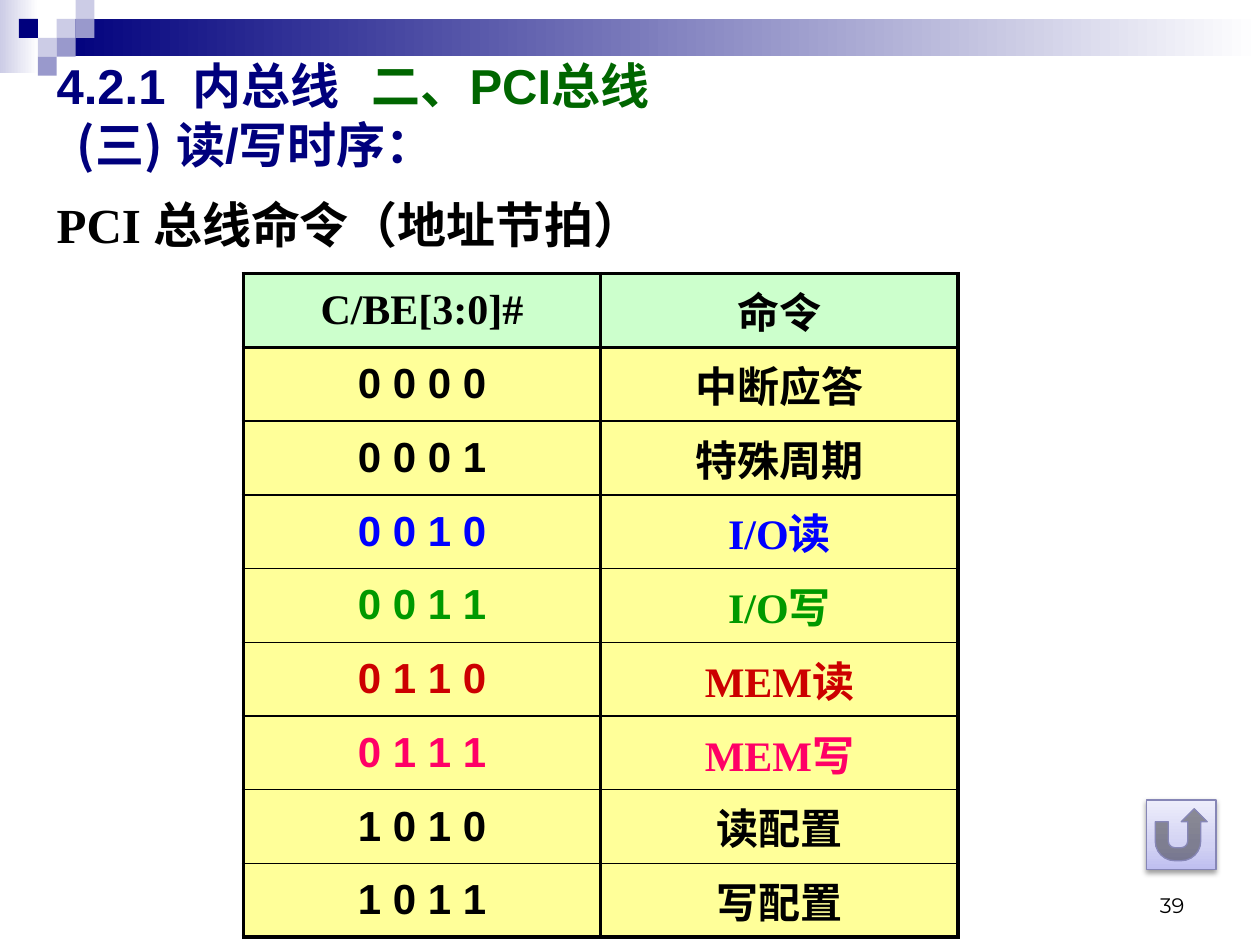
from copy import deepcopy
from dataclasses import dataclass

from lxml import etree
from pptx import Presentation
from pptx.dml.color import RGBColor
from pptx.enum import shapes, text
from pptx.oxml import ns
from pptx.util import Pt


@dataclass(frozen=True)
class Theme:
    navy: str = "00007D"
    lilac: str = "CCCCE6"
    violet: str = "9999CC"
    white: str = "FFFFFF"
    black: str = "000000"
    green: str = "006600"
    header_fill: str = "CCFFCC"
    body_fill: str = "FFFF99"
    button_line: str = "8686B6"
    button_stops: tuple = ((0, "BFBFF0"), (35, "D2D2F3"), (100, "EDEDFB"))
    sans: str = "Arial"
    serif: str = "Times New Roman"
    chinese: str = "Noto Sans CJK SC"
    number: str = "Montserrat"
    heading_size: int = 28
    table_size: int = 24
    number_size: int = 12


THEME = Theme()
COMMANDS = [
    ("0 0 0 0", "中断应答", THEME.black),
    ("0 0 0 1", "特殊周期", THEME.black),
    ("0 0 1 0", "I/O读", "0000FF"),
    ("0 0 1 1", "I/O写", "009900"),
    ("0 1 1 0", "MEM读", "CC0000"),
    ("0 1 1 1", "MEM写", "FF0066"),
    ("1 0 1 0", "读配置", THEME.black),
    ("1 0 1 1", "写配置", THEME.black),
]


def rgb(color):
    return RGBColor.from_string(color)


def add_child(parent, tag, **attributes):
    child = etree.SubElement(parent, ns.qn(tag))
    for key, value in attributes.items():
        child.set(key, str(value))
    return child


def add_run(paragraph, words, font, size, color, bold=True):
    run = paragraph.add_run()
    run.text = words
    run.font.size = Pt(size)
    run.font.bold = bold
    run.font.color.rgb = rgb(color)
    run.font.name = font
    add_child(run.font._element, "a:ea", typeface=THEME.chinese)


def fill_gradient(shape, stops, angle=0):
    """Fill with (percent, colour) stops; the angle runs counter-clockwise."""
    shape.fill.gradient()
    shape.fill.gradient_angle = angle
    stop_list = shape._element.spPr.find(ns.qn("a:gradFill")).find(ns.qn("a:gsLst"))
    for _ in stops[2:]:
        stop_list.insert(1, deepcopy(stop_list[0]))
    for stop, (position, color) in zip(shape.fill.gradient_stops, stops):
        stop.color.rgb = rgb(color)
        stop.position = position / 100


def add_block(slide, left, top, width, height, kind=shapes.MSO_SHAPE.RECTANGLE):
    block = slide.shapes.add_shape(kind, Pt(left), Pt(top), Pt(width), Pt(height))
    block.shadow.inherit = False
    block.line.fill.background()
    return block


def set_text(box, place, runs, anchor=text.MSO_ANCHOR.MIDDLE,
             align=text.PP_ALIGN.LEFT):
    """Place a box and write its one paragraph from (words, font, size, colour)."""
    box.left, box.top, box.width, box.height = map(Pt, place)
    frame = box.text_frame
    frame.word_wrap = True
    frame.auto_size = text.MSO_AUTO_SIZE.NONE
    frame.vertical_anchor = anchor
    paragraph = frame.paragraphs[0]
    paragraph.alignment = align
    paragraph.space_before = Pt(0)
    for run in runs:
        add_run(paragraph, *run)
    return paragraph


def add_text_box(slide, place, runs, **layout):
    box = slide.shapes.add_textbox(*map(Pt, place))
    return set_text(box, place, runs, **layout)


def add_banner(slide):
    edge = add_block(slide, 0, 0, 22, 42)
    fill_gradient(edge, [(0, THEME.lilac), (100, THEME.white)])
    bar = add_block(slide, 32.4, 10.8, 687.6, 21.4)
    fill_gradient(bar, [(0, THEME.navy), (100, THEME.white)])
    side = 10.8
    mosaic = [
        (3, 1, THEME.lilac), (4, 0, THEME.lilac), (4, 1, THEME.violet),
        (2, 2, THEME.lilac), (1, 1, THEME.navy), (3, 2, THEME.violet),
        (2, 3, THEME.violet),
    ]
    for column, row, color in mosaic:
        square = add_block(slide, column * side, row * side, side, side)
        square.fill.solid()
        square.fill.fore_color.rgb = rgb(color)


def fill_cell(cell, words, font, color, fill, top, bottom):
    cell.fill.solid()
    cell.fill.fore_color.rgb = rgb(fill)
    cell.vertical_anchor = text.MSO_ANCHOR.MIDDLE
    paragraph = cell.text_frame.paragraphs[0]
    paragraph.alignment = text.PP_ALIGN.CENTER
    add_run(paragraph, words, font, THEME.table_size, color)
    # Borders come before the fill in the cell properties
    properties = cell._tc.get_or_add_tcPr()
    borders = (("a:lnL", 2.25), ("a:lnR", 2.25), ("a:lnT", top), ("a:lnB", bottom))
    for index, (tag, width) in enumerate(borders):
        border = add_child(properties, tag, w=int(Pt(width)))
        add_child(add_child(border, "a:solidFill"), "a:srgbClr", val=THEME.black)
        properties.insert(index, border)


def add_command_table(slide):
    last = len(COMMANDS)
    column_width, row_height = 204.25, 42.15
    table = slide.shapes.add_table(
        last + 1, 2, Pt(139), Pt(156.4),
        Pt(2 * column_width), Pt((last + 1) * row_height)).table
    table.first_row = table.horz_banding = False
    for column in table.columns:
        column.width = Pt(column_width)
    for row in table.rows:
        row.height = Pt(row_height)

    for column, heading in enumerate(("C/BE[3:0]#", "命令")):
        fill_cell(table.cell(0, column), heading, THEME.serif, THEME.black,
                  THEME.header_fill, 2.25, 2.25)
    for row, (code, command, color) in enumerate(COMMANDS, 1):
        top = 2.25 if row == 1 else 1
        bottom = 2.25 if row == last else 1
        for column, (words, font) in enumerate(
                ((code, THEME.sans), (command, THEME.serif))):
            fill_cell(table.cell(row, column), words, font, color,
                      THEME.body_fill, top, bottom)


def add_return_button(slide):
    button = add_block(slide, 655.2, 457.2, 39.6, 39.6,
                       shapes.MSO_SHAPE.ACTION_BUTTON_RETURN)
    fill_gradient(button, THEME.button_stops, 90)
    button.line.color.rgb = rgb(THEME.button_line)
    button.line.width = Pt(0.75)
    effects = button._element.spPr.find(ns.qn("a:effectLst"))
    shadow = add_child(effects, "a:outerShdw", blurRad=int(Pt(3.1)),
                       dist=int(Pt(1.6)), dir=90 * 60000, rotWithShape=0)
    shade = add_child(shadow, "a:srgbClr", val=THEME.black)
    add_child(shade, "a:alpha", val=38000)


def main():
    deck = Presentation()
    deck.slide_width, deck.slide_height = Pt(720), Pt(540)
    slide = deck.slides.add_slide(deck.slide_layouts[1])
    size = THEME.heading_size

    # Banner and page number
    add_banner(slide)
    add_text_box(slide, (516.2, 502.6, 167.8, 25.2),
                 [("39", THEME.number, THEME.number_size, THEME.black, False)],
                 anchor=text.MSO_ANCHOR.BOTTOM, align=text.PP_ALIGN.RIGHT)

    # Headings
    set_text(slide.shapes.title, (25.2, 25.9, 680.4, 45.4),
             [("4.2.1  内总线 \t", THEME.sans, size, THEME.navy),
              ("二、PCI总线", THEME.sans, size, THEME.green)])
    add_text_box(slide, (36.7, 59.8, 648, 45.4),
                 [("(三)", THEME.chinese, size, THEME.navy),
                  (" 读/写时序：", THEME.sans, size, THEME.navy)])
    topic = set_text(slide.placeholders[1], (25.2, 105.1, 680.4, 46),
                     [("PCI 总线命令（地址节拍）", THEME.serif, size, THEME.black)])
    properties = topic._p.get_or_add_pPr()
    properties.set("marL", "0")
    properties.set("indent", "0")
    add_child(properties, "a:buNone")

    # Bus commands and the way back
    add_command_table(slide)
    add_return_button(slide)
    deck.save("out.pptx")


if __name__ == "__main__":
    main()
